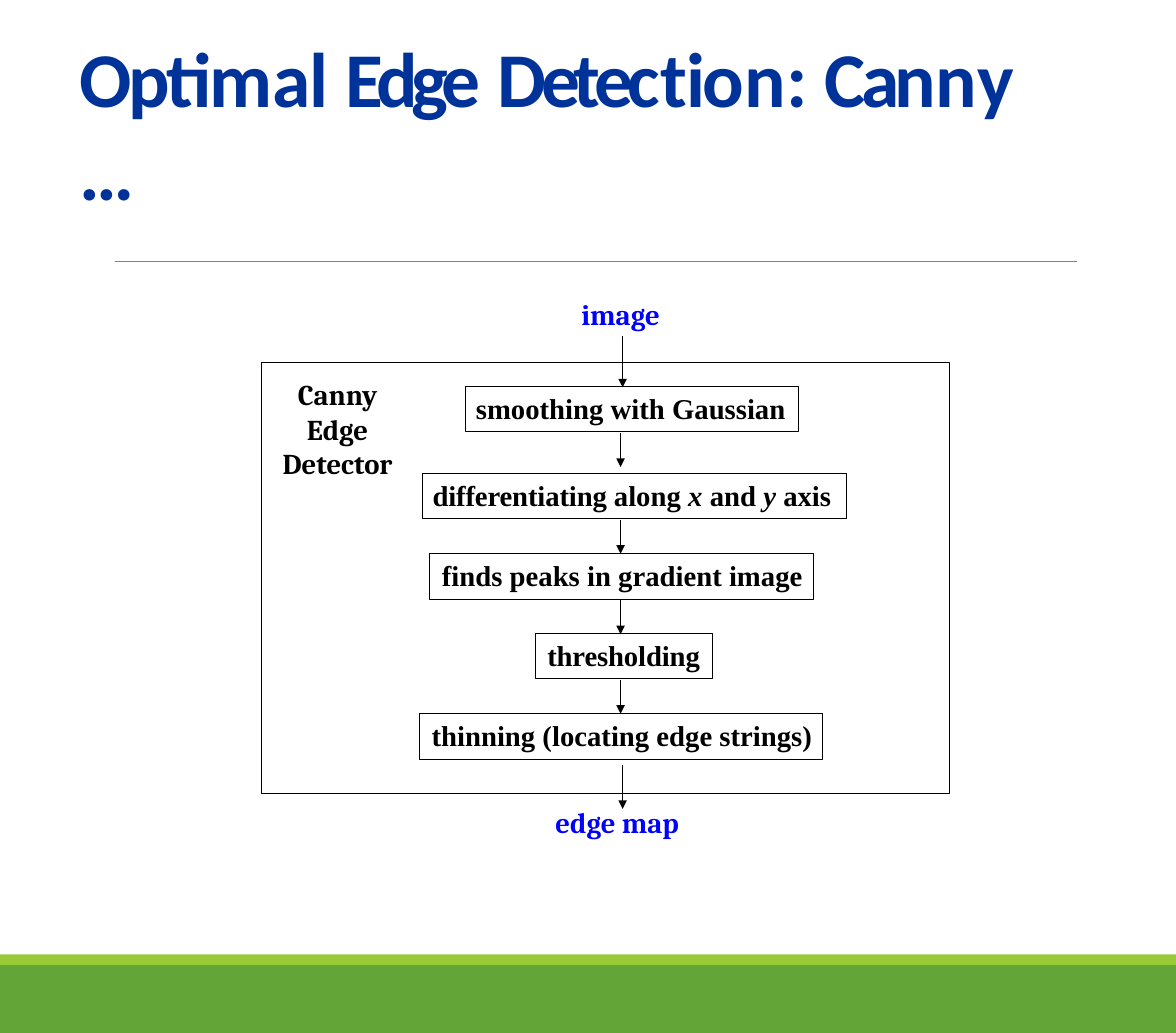
from lxml import etree
from pptx import Presentation
from pptx.dml.color import RGBColor
from pptx.enum.shapes import MSO_CONNECTOR, MSO_SHAPE
from pptx.enum.text import MSO_ANCHOR, PP_ALIGN
from pptx.oxml.ns import qn
from pptx.util import Inches, Pt

SLIDE_WIDTH, SLIDE_HEIGHT = 820 / 72, 720 / 72
BLACK, NAVY, BLUE, GRAY = "000000", "003399", "0000FF", "808080"
GREEN, LIME = "63A537", "99CB38"

# Runs are (text, letter spacing in points, italic).
SPACE = (" ", 0, False)
TITLE_RUNS = [
    ("Opti", -2.2, False), ("m", -3.8, False), ("al", -0.9, False), SPACE,
    ("Edge", -4.3, False), SPACE, ("Detec", -3.9, False), ("t", -2.4, False),
    ("io", -2.1, False), ("n", -2.9, False), (":", -3, False), SPACE,
    ("Can", -3.4, False), ("n", -4, False), ("y", -1.1, False), SPACE,
    ("…", -0.1, False),
]
DIFFERENTIATING_RUNS = [
    ("differentiating ", -0.1, False), ("along ", 0, False), ("x ", 0, True),
    ("and ", 0, False), ("y ", 0, True), ("axis", 0, False),
]
# Steps are (left, top, width, indent, runs), measured from the detector frame.
STEPS = [
    (1.98, 0.23, 3.22, 0.1, [("smoothing with Gaussian", 0, False)]),
    (1.56, 1.07, 4.11, 0.1, DIFFERENTIATING_RUNS),
    (1.63, 1.85, 3.72, 0.12, [("finds peaks in gradient image", 0, False)]),
    (2.66, 2.62, 1.71, 0.11, [("thresholding", -0.1, False)]),
    (1.53, 3.4, 3.91, 0.12, [("thinning (locating edge strings)", 0, False)]),
]
STEP_HEIGHT = 0.44


def color(hex_string):
    return RGBColor.from_string(hex_string)


def add_rectangle(slide, left, top, width, height, fill=None, line=None):
    shape = slide.shapes.add_shape(
        MSO_SHAPE.RECTANGLE, Inches(left), Inches(top), Inches(width), Inches(height))
    shape.shadow.inherit = False
    if fill:
        shape.fill.solid()
        shape.fill.fore_color.rgb = color(fill)
    else:
        shape.fill.background()
    if line:
        shape.line.color.rgb = color(line)
        shape.line.width = Pt(0.72)
    else:
        shape.line.fill.background()
    return shape


def add_line(slide, start, end, line_color, width, arrow=False):
    connector = slide.shapes.add_connector(
        MSO_CONNECTOR.STRAIGHT, *(Inches(value) for value in (*start, *end)))
    connector.line.color.rgb = color(line_color)
    connector.line.width = Pt(width)
    if arrow:
        etree.SubElement(connector.line._get_or_add_ln(), qn("a:tailEnd"),
                         type="triangle", w="med", len="med")
    etree.SubElement(connector._element.spPr, qn("a:effectLst"))


def write_runs(shape, runs, font_name, size, font_color, margins=(0, 0, 0, 0),
               align=PP_ALIGN.LEFT, anchor=MSO_ANCHOR.TOP):
    """Fill a shape with one bold paragraph; margins are left, top, right, bottom."""
    frame = shape.text_frame
    frame.word_wrap = True
    frame.vertical_anchor = anchor
    (frame.margin_left, frame.margin_top,
     frame.margin_right, frame.margin_bottom) = map(Inches, margins)
    paragraph = frame.paragraphs[0]
    paragraph.alignment = align
    for text, spacing, italic in runs:
        run = paragraph.add_run()
        run.text = text
        run.font.name = font_name
        run.font.size = Pt(size)
        run.font.bold = True
        run.font.italic = italic
        run.font.color.rgb = color(font_color)
        if spacing:
            run._r.get_or_add_rPr().set("spc", str(round(spacing * 100)))


def add_text(slide, left, top, width, height, runs, font_name, size, font_color):
    box = slide.shapes.add_textbox(
        Inches(left), Inches(top), Inches(width), Inches(height))
    write_runs(box, runs, font_name, size, font_color, (0.01, 0.02, 0, 0))


def add_footer(slide, top, height):
    stripe = 0.1
    add_rectangle(slide, 0, top + stripe, SLIDE_WIDTH, height - stripe, fill=GREEN)
    add_rectangle(slide, 0, top, SLIDE_WIDTH, stripe, fill=LIME)


def add_title(slide, left, top, width, height):
    add_text(slide, left, top, width, height, TITLE_RUNS, "Calibri", 54, NAVY)
    add_line(slide, (left + 0.35, top + 2.26), (left + 9.67, top + 2.26), GRAY, 0.5)


def add_flowchart(slide, left, top, width, height):
    """Draw the detector frame with its steps, plus input above and output below."""
    frame = add_rectangle(slide, left, top, width, height, line=BLACK)
    write_runs(frame, [("Canny Edge Detector", 0, False)], "Cambria", 20, BLACK,
               (0.17, 0.14, width - 1.31, 0), PP_ALIGN.CENTER)

    for x, y, step_width, indent, runs in STEPS:
        step = add_rectangle(slide, left + x, top + y, step_width, STEP_HEIGHT, line=BLACK)
        write_runs(step, runs, "Times New Roman", 20, BLACK, (indent, 0, 0, 0.02),
                   anchor=MSO_ANCHOR.MIDDLE)

    # Arrows are (x, start, end), measured from the frame.
    arrows = [(3.5, -0.26, 0.24), (3.5, height - 0.27, height + 0.15)]
    for _, y, *_ in STEPS[:-1]:
        start = y + STEP_HEIGHT + 0.01
        arrows.append((3.48, start, start + 0.33))
    for x, start, end in arrows:
        add_line(slide, (left + x, top + start), (left + x, top + end), BLACK, 1.1, True)

    add_text(slide, left + 3.09, top - 0.66, 0.8, 0.36,
             [("image", 0, False)], "Cambria", 20, BLUE)
    add_text(slide, left + 2.84, top + height + 0.09, 1.26, 0.36,
             [("edge ", 0, False), ("map", -0.1, False)], "Cambria", 20, BLUE)


def main():
    presentation = Presentation()
    presentation.slide_width = Inches(SLIDE_WIDTH)
    presentation.slide_height = Inches(SLIDE_HEIGHT)
    slide = presentation.slides.add_slide(presentation.slide_layouts[6])
    add_footer(slide, 9.24, 0.76)
    add_title(slide, 0.76, 0.27, 9.44, 1.84)
    add_flowchart(slide, 2.53, 3.51, 6.67, 4.17)
    presentation.save("out.pptx")


if __name__ == "__main__":
    main()
